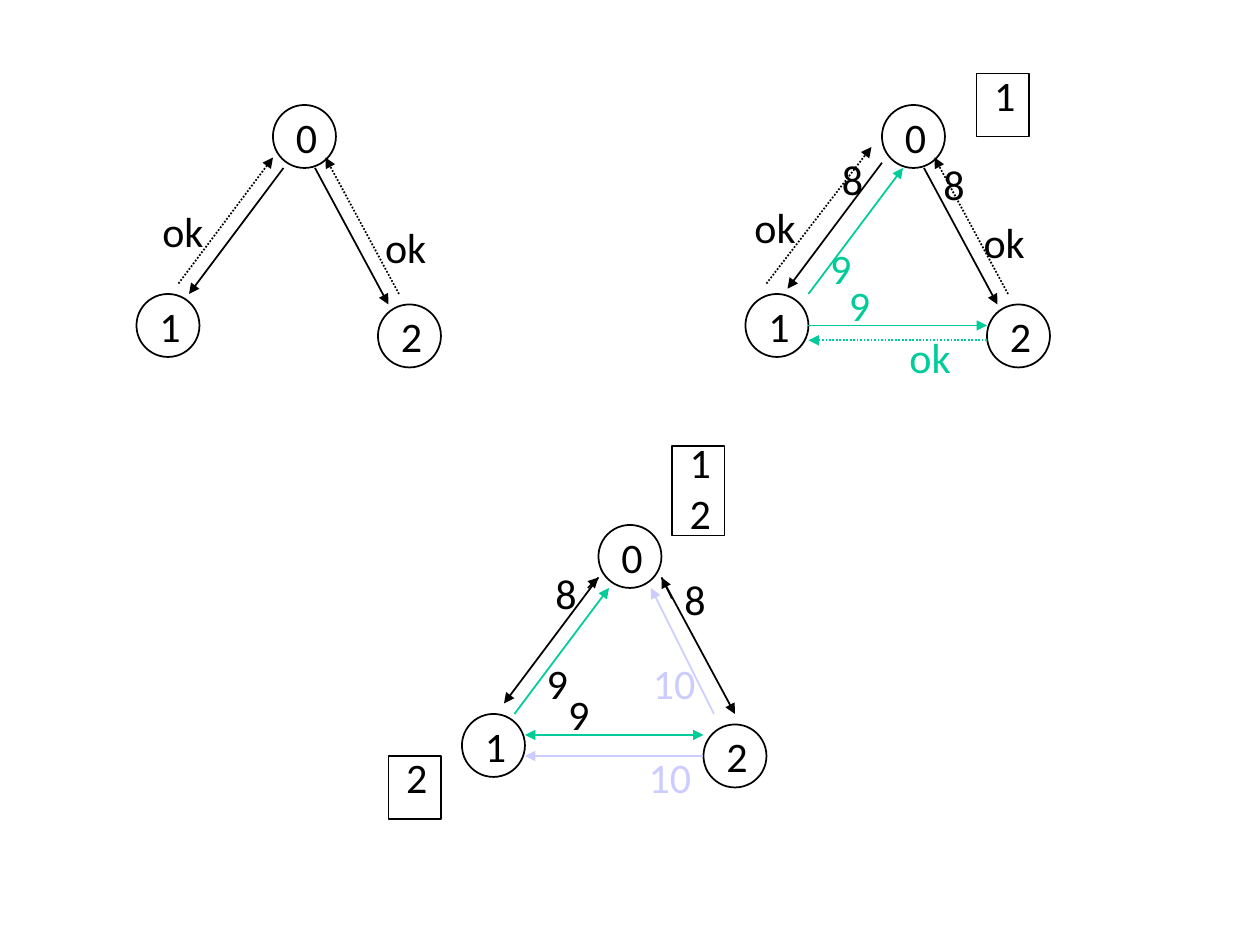
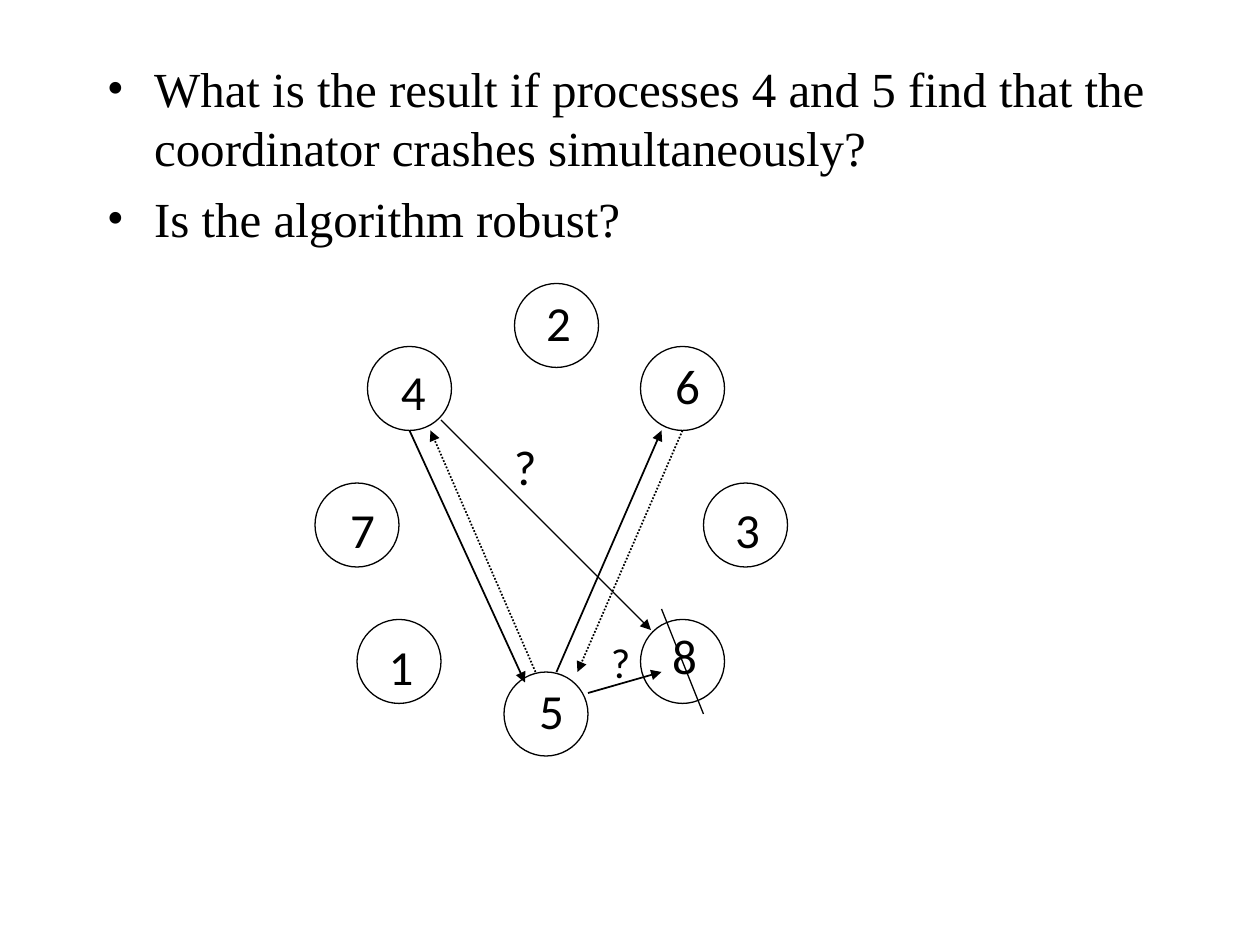
from dataclasses import dataclass

from lxml import etree
from pptx import Presentation
from pptx.dml.color import RGBColor
from pptx.enum.dml import MSO_LINE
from pptx.enum.shapes import MSO_CONNECTOR, MSO_SHAPE
from pptx.oxml.ns import qn
from pptx.util import Pt

OVAL, RECTANGLE = MSO_SHAPE.OVAL, MSO_SHAPE.RECTANGLE
STRAIGHT, DOTTED = MSO_CONNECTOR.STRAIGHT, MSO_LINE.ROUND_DOT


@dataclass(frozen=True)
class Theme:
    black: str = "000000"
    green: str = "00CC99"
    lilac: str = "CCCCFF"
    label_font: str = "Calibri"
    body_font: str = "Times New Roman"
    small: int = 24
    large: int = 28
    line: float = 1
    thin: float = 0.75


THEME = Theme()
BLACK, GREEN, LILAC = THEME.black, THEME.green, THEME.lilac

# Each round of the election is placed from the top left of its process 0.
PROCESSES = [("0", 0, 0), ("1", -78, 108), ("2", 60, 114)]
PROCESS_SIZE = 36

# arrows: start, end, colour, dotted; labels: text, left, top, colour
# queues: left, top, height, waiting processes
ROUNDS = [
    {
        "origin": (156, 60),
        "arrows": [
            ((6, 36), (-48, 108), BLACK, False),
            ((24, 36), (66, 114), BLACK, False),
            ((72, 108), (30, 30), BLACK, True),
            ((-54, 102), (0, 30), BLACK, True),
        ],
        "labels": [("ok", 57, 63, BLACK), ("ok", -70.3, 54, BLACK)],
        "queues": [],
    },
    {
        "origin": (504, 60),
        "arrows": [
            ((0, 33), (-54, 105), BLACK, False),
            ((24, 36), (66, 114), BLACK, False),
            ((-42, 108), (12, 36), GREEN, False),
            ((-42, 126), (60, 126), GREEN, False),
            ((72, 108), (30, 30), BLACK, True),
            ((60, 134.5), (-42, 134.5), GREEN, True),
            ((-66, 102), (-6, 24), BLACK, True),
        ],
        "labels": [
            ("8", -30, 24, BLACK), ("8", 28, 27, BLACK),
            ("9", -36.7, 75, GREEN), ("9", -26, 96, GREEN),
            ("ok", 51, 60, BLACK), ("ok", 8.6, 126, GREEN),
            ("ok", -80, 51.6, BLACK),
        ],
        "queues": [(54, -18, 36, ["1"])],
    },
    {
        "origin": (342, 300),
        "arrows": [
            ((60, 132), (-42, 132), LILAC, False),
            ((66, 108), (30, 36), LILAC, False),
            ((0, 30), (-54, 102), BLACK, False),
            ((36, 30), (78, 108), BLACK, False),
            ((-48, 108), (6, 36), GREEN, False),
            ((-36, 120), (60, 120), GREEN, False),
            ((-6, 36), (0, 30), BLACK, False),
            ((42, 42), (36, 30), BLACK, False),
            ((-24, 120), (-42, 120), GREEN, False),
        ],
        "labels": [
            ("10", 21.6, 126, LILAC), ("10", 24, 72, LILAC),
            ("8", -31.7, 21, BLACK), ("8", 42, 24, BLACK),
            ("9", -36.7, 72, BLACK), ("9", -24.5, 90, BLACK),
        ],
        "queues": [(42, -45, 51, ["1", "2"]), (-120, 132, 36, ["2"])],
    },
]

QUESTIONS = [
    "What is the result if processes 4 and 5 find that the coordinator "
    "crashes simultaneously?",
    "Is the algorithm robust?",
]
QUESTION_INDENT = 27

# process, left, top, offset of its number inside the circle
RING = [
    ("2", 294, 162, (11, 1.4)), ("4", 210, 198, (12, 5)),
    ("6", 366, 198, (12.7, 1.4)), ("8", 366, 354, (11, 0)),
    ("7", 180, 276, (13, 6)), ("1", 204, 354, (11, 6)),
    ("5", 288, 384, (13, 1.2)), ("3", 402, 276, (11, 6)),
]
RING_SIZE = 48
CRASH_MARK = ((378, 348), (402, 408))
# start, end, weight, dotted
RING_ARROWS = [
    ((252, 240), (372, 360), THEME.thin, False),
    ((336, 396), (378, 384), THEME.line, False),
    ((234, 246), (300, 390), THEME.line, False),
    ((306, 384), (246, 246), THEME.line, True),
    ((318, 384), (378, 246), THEME.line, False),
    ((390, 246), (330, 384), THEME.line, True),
]
DOUBTS = [("?", 286.6, 246, THEME.large), ("?", 342, 360, THEME.small)]


def color(value):
    return RGBColor.from_string(value)


def add_outline(slide, kind, left, top, width, height, weight=THEME.line):
    shape = slide.shapes.add_shape(kind, Pt(left), Pt(top), Pt(width), Pt(height))
    shape.shadow.inherit = False
    shape.fill.background()
    shape.line.color.rgb = color(BLACK)
    shape.line.width = Pt(weight)


def add_line(slide, start, end, tint=BLACK, weight=THEME.line, dotted=False, arrow=True):
    points = [Pt(value) for value in (*start, *end)]
    connector = slide.shapes.add_connector(STRAIGHT, *points)
    connector.line.color.rgb = color(tint)
    connector.line.width = Pt(weight)
    if dotted:
        connector.line.dash_style = DOTTED
    if arrow:
        outline = connector.line._get_or_add_ln()
        etree.SubElement(outline, qn("a:tailEnd"), type="triangle")
    etree.SubElement(connector._element.spPr, qn("a:effectLst"))


def add_span(paragraph, text, font, size, tint=BLACK):
    span = paragraph.add_run()
    span.text = text
    span.font.name = font
    span.font.size = Pt(size)
    span.font.color.rgb = color(tint)


def add_label(slide, lines, left, top, size=THEME.small, tint=BLACK):
    """Add unwrapped text in a box sized from its characters and lines."""
    width = 14.4 + 0.54 * size * max(len(line) for line in lines)
    height = 7.2 + 1.2 * size * len(lines)
    box = slide.shapes.add_textbox(Pt(left), Pt(top), Pt(width), Pt(height))
    frame = box.text_frame
    frame.word_wrap = False
    for index, line in enumerate(lines):
        paragraph = frame.add_paragraph() if index else frame.paragraphs[0]
        add_span(paragraph, line, THEME.label_font, size, tint)


def add_round(slide, election):
    origin_x, origin_y = election["origin"]

    def place(point):
        return origin_x + point[0], origin_y + point[1]

    for name, *corner in PROCESSES:
        left, top = place(corner)
        add_outline(slide, OVAL, left, top, PROCESS_SIZE, PROCESS_SIZE)
        add_label(slide, [name], left + 6, top)
    for start, end, tint, dotted in election["arrows"]:
        add_line(slide, place(start), place(end), tint, dotted=dotted)
    for text, *corner, tint in election["labels"]:
        add_label(slide, [text], *place(corner), tint=tint)
    for *corner, height, waiting in election["queues"]:
        left, top = place(corner)
        add_outline(slide, RECTANGLE, left, top, 30, height)
        add_label(slide, waiting, left + 3, top - (6 if len(waiting) == 1 else 9))


def add_questions(slide):
    box = slide.shapes.add_textbox(Pt(54), Pt(30), Pt(612), Pt(450))
    frame = box.text_frame
    frame.word_wrap = True
    for index, question in enumerate(QUESTIONS):
        paragraph = frame.add_paragraph() if index else frame.paragraphs[0]
        paragraph.space_before = Pt(7 if index else 0)
        properties = paragraph._p.get_or_add_pPr()
        properties.set("marL", str(Pt(QUESTION_INDENT)))
        properties.set("indent", str(-Pt(QUESTION_INDENT)))
        bullet_color = etree.SubElement(properties, qn("a:buClr"))
        etree.SubElement(bullet_color, qn("a:srgbClr"), val=BLACK)
        etree.SubElement(properties, qn("a:buFont"), typeface=THEME.body_font)
        etree.SubElement(properties, qn("a:buChar"), char="•")
        add_span(paragraph, question, THEME.body_font, THEME.large)


def add_ring(slide):
    for name, left, top, (shift_x, shift_y) in RING:
        add_outline(slide, OVAL, left, top, RING_SIZE, RING_SIZE, THEME.thin)
        add_label(slide, [name], left + shift_x, top + shift_y, THEME.large)
    add_line(slide, *CRASH_MARK, weight=THEME.thin, arrow=False)
    for start, end, weight, dotted in RING_ARROWS:
        add_line(slide, start, end, weight=weight, dotted=dotted)
    for text, left, top, size in DOUBTS:
        add_label(slide, [text], left, top, size)


def main():
    deck = Presentation()
    deck.slide_width, deck.slide_height = Pt(720), Pt(540)
    blank = deck.slide_layouts[6]

    rounds_slide = deck.slides.add_slide(blank)
    for election in ROUNDS:
        add_round(rounds_slide, election)

    questions_slide = deck.slides.add_slide(blank)
    add_questions(questions_slide)
    add_ring(questions_slide)

    deck.save("out.pptx")


if __name__ == "__main__":
    main()
